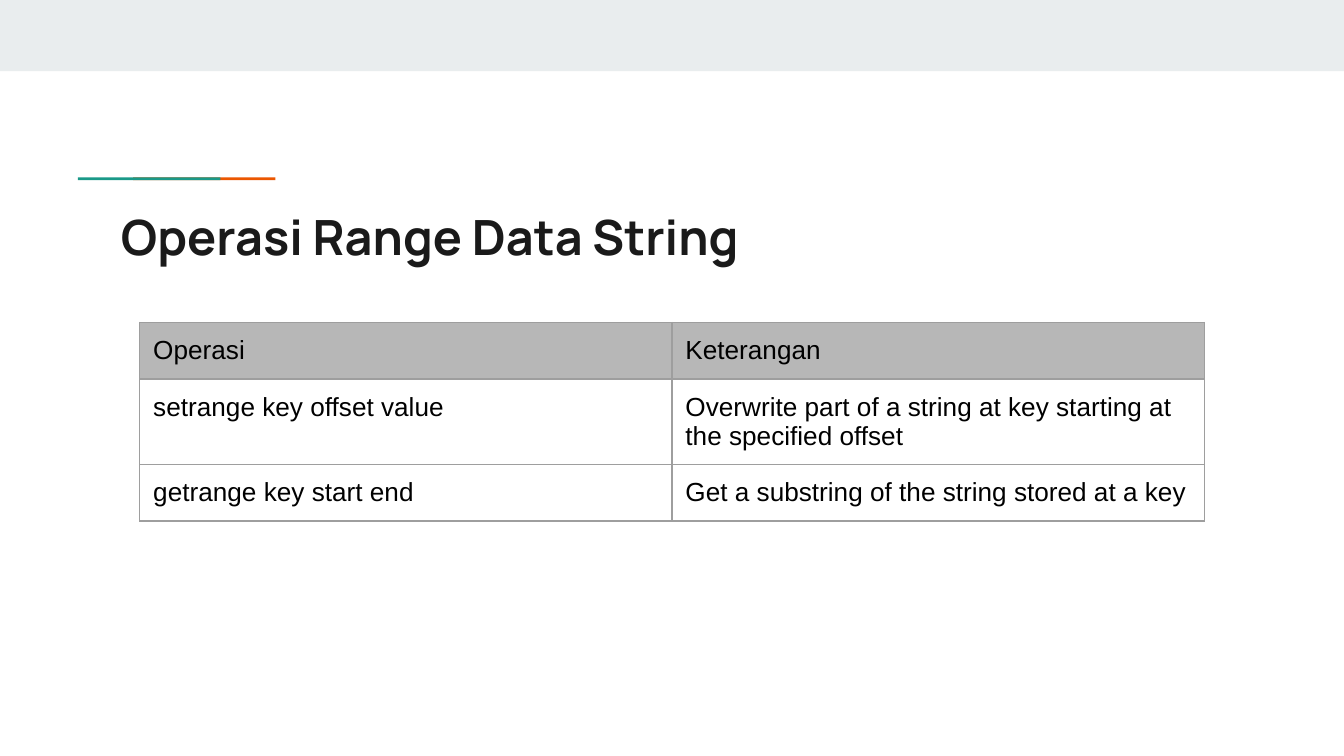
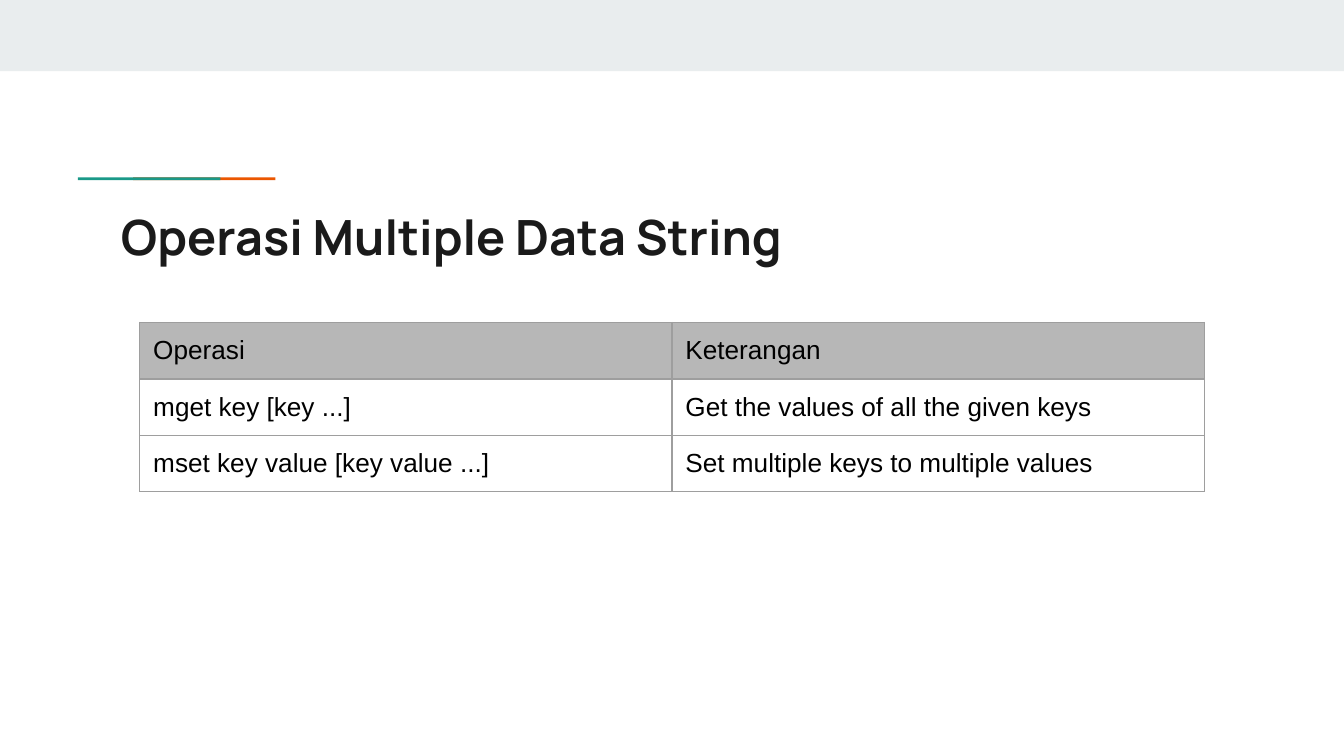
from pptx import Presentation
from pptx.dml.color import RGBColor
from pptx.enum.shapes import MSO_SHAPE
from pptx.enum.text import MSO_ANCHOR, MSO_AUTO_SIZE, PP_ALIGN
from pptx.oxml.ns import qn
from pptx.util import Inches, Pt
from lxml import etree

RECTANGLE = MSO_SHAPE.RECTANGLE
TOP = MSO_ANCHOR.TOP
NO_FIT = MSO_AUTO_SIZE.NONE
LEFT = PP_ALIGN.LEFT
TITLE_ONLY = 5

COLORS = {
    "band": "E9EDEE",
    "teal": "1A9988",
    "orange": "EB5600",
    "title": "1A1A1A",
    "text": "000000",
    "header": "B7B7B7",
    "border": "9E9E9E",
}
SLIDE_SIZE = {"slide_width": Inches(10), "slide_height": Inches(10 * 9 / 16)}
TITLE_FONT = {"name": "Manrope", "size": Pt(26), "bold": True}
CELL_FONT = {"name": "Arial", "size": Pt(14), "bold": False}
MARGINS = {f"margin_{side}": Inches(0.1) for side in ("left", "top", "right", "bottom")}
DECORATIONS = [
    ("band", 0, 0, 10, 0.53),
    ("orange", 0.99, 1.32, 1.06, 0.02),
    ("teal", 0.58, 1.32, 1.06, 0.02),
]
HEADINGS = ("Operasi", "Keterangan")
PAGES = [
    ("Operasi Range Data String", [
        ("setrange key offset value",
         "Overwrite part of a string at key starting at the specified offset"),
        ("getrange key start end", "Get a substring of the string stored at a key"),
    ]),
    ("Operasi Multiple Data String", [
        ("mget key [key ...]", "Get the values of all the given keys"),
        ("mset key value [key value ...]", "Set multiple keys to multiple values"),
    ]),
]


def color(name):
    """Return the named palette colour."""
    return RGBColor.from_string(COLORS[name])


def apply(target, values):
    """Set each attribute in a dict of format values."""
    for name, value in values.items():
        setattr(target, name, value)


def write(frame, text, font, color_name):
    """Put one formatted, left-aligned paragraph in a text frame."""
    para = frame.paragraphs[0]
    para.alignment = LEFT
    span = para.add_run()
    span.text = text
    apply(span.font, font)
    span.font.color.rgb = color(color_name)


def add_bar(page, color_name, *lengths):
    """Draw a plain filled rectangle."""
    bar = page.shapes.add_shape(RECTANGLE, *map(Inches, lengths))
    bar.shadow.inherit = False
    bar.fill.solid()
    bar.fill.fore_color.rgb = color(color_name)
    bar.line.fill.background()


def set_title(page, text):
    """Place and fill the title placeholder."""
    box = page.shapes.title
    apply(box, {"left": Inches(0.8), "top": Inches(1.44),
                "width": Inches(8.41), "height": Inches(0.59)})
    apply(box.text_frame, {**MARGINS, "vertical_anchor": TOP,
                           "auto_size": NO_FIT, "word_wrap": True})
    write(box.text_frame, text, TITLE_FONT, "title")


def add_borders(cell):
    """Give a cell thin lines on all four sides."""
    properties = cell._tc.get_or_add_tcPr()
    for side in ("lnL", "lnR", "lnT", "lnB"):
        line = etree.SubElement(properties, qn(f"a:{side}"), w=str(Pt(0.75)))
        fill = etree.SubElement(line, qn("a:solidFill"))
        etree.SubElement(fill, qn("a:srgbClr"), val=COLORS["border"])


def add_operations(page, operations):
    """Add the table of operations and their descriptions."""
    rows = [HEADINGS, *operations]
    row_height = Inches(0.42)
    table = page.shapes.add_table(
        len(rows), len(HEADINGS), Inches(1.04), Inches(2.4),
        Inches(7.92), row_height * len(rows)).table
    apply(table, {"first_row": False, "horz_banding": False})
    for row_index, texts in enumerate(rows):
        for column_index, text in enumerate(texts):
            cell = table.cell(row_index, column_index)
            apply(cell, {**MARGINS, "vertical_anchor": TOP})
            add_borders(cell)
            if row_index == 0:
                cell.fill.solid()
                cell.fill.fore_color.rgb = color("header")
            else:
                cell.fill.background()
            write(cell.text_frame, text, CELL_FONT, "text")


def main():
    """Build and save the deck."""
    deck = Presentation()
    apply(deck, SLIDE_SIZE)
    for title, operations in PAGES:
        page = deck.slides.add_slide(deck.slide_layouts[TITLE_ONLY])
        for decoration in DECORATIONS:
            add_bar(page, *decoration)
        set_title(page, title)
        add_operations(page, operations)
    deck.save("out.pptx")


if __name__ == "__main__":
    main()
